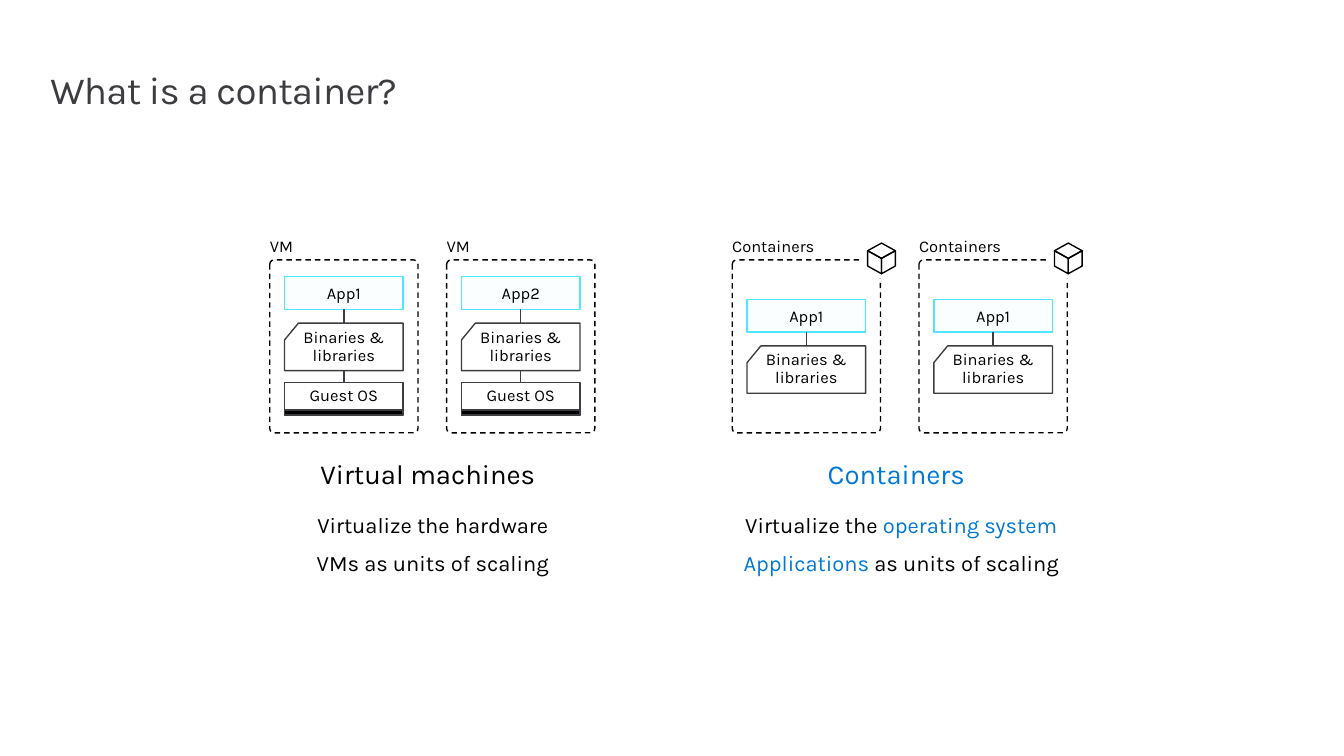
from lxml.etree import SubElement
from pptx import Presentation
from pptx.dml.color import RGBColor
from pptx.enum.dml import MSO_LINE
from pptx.enum.shapes import MSO_CONNECTOR, MSO_SHAPE
from pptx.enum.text import MSO_ANCHOR as Anchor, PP_ALIGN as Align
from pptx.oxml.ns import qn
from pptx.util import Inches, Pt

FONT = "Karla"
BLACK, GRAY, WHITE, CYAN, BLUE = "000000", "3C3C41", "FFFFFF", "50E6FF", "0078D4"
FRAME_TOP, FRAME_WIDTH, FRAME_HEIGHT = 2.63, 1.5, 1.75
PANEL_WIDTH = 3.5
PART_INSET, PART_WIDTH, PART_HEIGHT = 0.15, 1.2, 0.33
LIBRARIES_OFFSET, LIBRARIES_HEIGHT, GUEST_OFFSET = 0.47, 0.48, 1.07
CUBE_FACES = (
    ((1, 0.25), (1, 0.75), (0.5, 1), (0.5, 0.5)),
    ((0, 0.25), (0.5, 0.5), (0.5, 1), (0, 0.75)),
    ((0.5, 0), (1, 0.25), (0.5, 0.5), (0, 0.25)),
)


def color(value):
    return RGBColor.from_string(value)


def style(shape, fill=None, line=None, alpha=None):
    shape.shadow.inherit = False
    if fill:
        shape.fill.solid()
        shape.fill.fore_color.rgb = color(fill)
        if alpha:
            tint = shape.fill._xPr.find(qn("a:solidFill"))[0]
            SubElement(tint, qn("a:alpha")).set("val", str(alpha * 1000))
    else:
        shape.fill.background()
    if line:
        shape.line.color.rgb = color(line)
        shape.line.width = Pt(1)
    else:
        shape.line.fill.background()
    return shape


def write(shape, runs, size, align=Align.LEFT, anchor=Anchor.TOP,
          spacing=None, after=0, insets=(0, 0, 0, 0)):
    frame = shape.text_frame
    frame.word_wrap = True
    frame.vertical_anchor = anchor
    (frame.margin_left, frame.margin_top,
     frame.margin_right, frame.margin_bottom) = map(Inches, insets)
    paragraph = frame.paragraphs[0]
    paragraph.alignment = align
    paragraph.line_spacing = spacing
    paragraph.space_after = Pt(after)
    paragraph.font.name = FONT
    paragraph.font.size = Pt(size)
    for text, tint in runs:
        run = paragraph.add_run()
        run.text = text
        run.font.color.rgb = color(tint)
    return paragraph


def add_text(shapes, box, runs, size, **options):
    return write(shapes.add_textbox(*map(Inches, box)), runs, size, **options)


def add_shape(shapes, kind, box, **look):
    return style(shapes.add_shape(kind, *map(Inches, box)), **look)


def add_outline(shapes, contours, **look):
    builder = None
    for contour in contours:
        start, *rest = [(Inches(x), Inches(y)) for x, y in contour]
        if builder is None:
            builder = shapes.build_freeform(*start)
        else:
            builder.move_to(*start)
        builder.add_line_segments(rest, close=True)
    return style(builder.convert_to_shape(), **look)


def add_part_text(shapes, left, top, height, text):
    add_text(shapes, (left + 0.07, top, 1.06, height), [(text, BLACK)], 12,
             align=Align.CENTER, spacing=0.9, after=6)


def add_stack(shapes, left, top, app_name, has_guest):
    app = add_shape(shapes, MSO_SHAPE.RECTANGLE, (left, top, PART_WIDTH, PART_HEIGHT),
                    fill=CYAN, line=CYAN, alpha=2)
    write(app, [(app_name, BLACK)], 12, align=Align.CENTER, anchor=Anchor.MIDDLE)

    middle = Inches(left + PART_WIDTH / 2)
    link = shapes.add_connector(MSO_CONNECTOR.STRAIGHT, middle,
                                Inches(top + PART_HEIGHT), middle, Inches(top + 0.86))
    link.line.color.rgb = color(GRAY)
    link.line.width = Pt(1)
    SubElement(link._element.spPr, qn("a:effectLst"))
    link.begin_connect(app, 2)

    if has_guest:
        guest_top = top + GUEST_OFFSET
        guest = add_shape(shapes, MSO_SHAPE.RECTANGLE,
                          (left, guest_top, PART_WIDTH, PART_HEIGHT), line=GRAY)
        link.end_connect(guest, 0)
        add_shape(shapes, MSO_SHAPE.RECTANGLE,
                  (left, guest_top + 0.28, PART_WIDTH, 0.05), fill=BLACK, line=GRAY)
        add_part_text(shapes, left, guest_top + 0.05, 0.18, "Guest OS")

    y, right = top + LIBRARIES_OFFSET, left + PART_WIDTH
    bottom = y + LIBRARIES_HEIGHT
    add_outline(shapes, [((left, y + 0.17), (left + 0.14, y), (right, y),
                          (right, bottom), (left, bottom))], fill=WHITE, line=GRAY)
    add_part_text(shapes, left, y + 0.06, 0.36, "Binaries & libraries")


def add_frame(shapes, left, label, label_size):
    frame = add_shape(shapes, MSO_SHAPE.ROUNDED_RECTANGLE,
                      (left, FRAME_TOP, FRAME_WIDTH, FRAME_HEIGHT), line=BLACK)
    frame.adjustments[0] = 0.03
    frame.line.dash_style = MSO_LINE.DASH
    width, height = label_size
    add_text(shapes, (left, FRAME_TOP - 0.04 - height, width, height),
             [(label, BLACK)], 12, anchor=Anchor.BOTTOM)


def add_cube(shapes, left, top):
    add_shape(shapes, MSO_SHAPE.OVAL, (left, top, 0.41, 0.41), fill=WHITE)
    faces = [[(left + 0.07 + 0.28 * x, top + 0.05 + 0.31 * y) for x, y in face]
             for face in CUBE_FACES]
    add_outline(shapes, faces, line=BLACK)


def add_vm(shapes, left, app_name):
    add_stack(shapes, left + PART_INSET, FRAME_TOP + 0.17, app_name, True)
    add_frame(shapes, left, "VM", (0.78, 0.2))


def add_container(shapes, left, app_name):
    add_stack(shapes, left + PART_INSET, FRAME_TOP + 0.4, app_name, False)
    add_frame(shapes, left, "Containers", (1, 0.4))
    add_cube(shapes, left + 1.3, FRAME_TOP - 0.22)


def add_panel(slide, left, add_unit, inset, pitch, app_names, heading, captions):
    units = slide.shapes.add_group_shape().shapes
    for index, app_name in enumerate(app_names):
        add_unit(units, left + inset + index * pitch, app_name)
    add_text(slide.shapes, (left, 4.56, PANEL_WIDTH, 0.5), [heading], 20,
             align=Align.CENTER, spacing=0.9, after=6, insets=(0, 0.1, 0.1, 0.1))
    for index, runs in enumerate(captions):
        add_text(slide.shapes, (left, 5.18 + index * 0.38, PANEL_WIDTH, 0.27), runs, 16,
                 align=Align.CENTER, after=6)


def add_title(slide, text):
    paragraph = add_text(slide.shapes, (0.51, 0.69, 10.93, 0.45), [(text, GRAY)], 28,
                         spacing=Pt(32))
    paragraph.runs[0]._r.get_or_add_rPr().set("spc", "-50")


def main():
    presentation = Presentation()
    presentation.slide_width = Inches(13.6)
    presentation.slide_height = Inches(7.65)
    slide = presentation.slides.add_slide(presentation.slide_layouts[6])
    add_title(slide, "What is a container?")
    add_panel(slide, 2.63, add_vm, 0.1, 1.79, ("App1", "App2"),
              ("Virtual machines", BLACK),
              ([("Virtualize the hardware", BLACK)],
               [("VMs as units of scaling", BLACK)]))
    add_panel(slide, 7.37, add_container, 0.04, 1.89, ("App1", "App1"),
              ("Containers", BLUE),
              ([("Virtualize the ", BLACK), ("operating system", BLUE)],
               [("Applications", BLUE), (" as units of scaling", BLACK)]))
    presentation.save("out.pptx")


if __name__ == "__main__":
    main()
